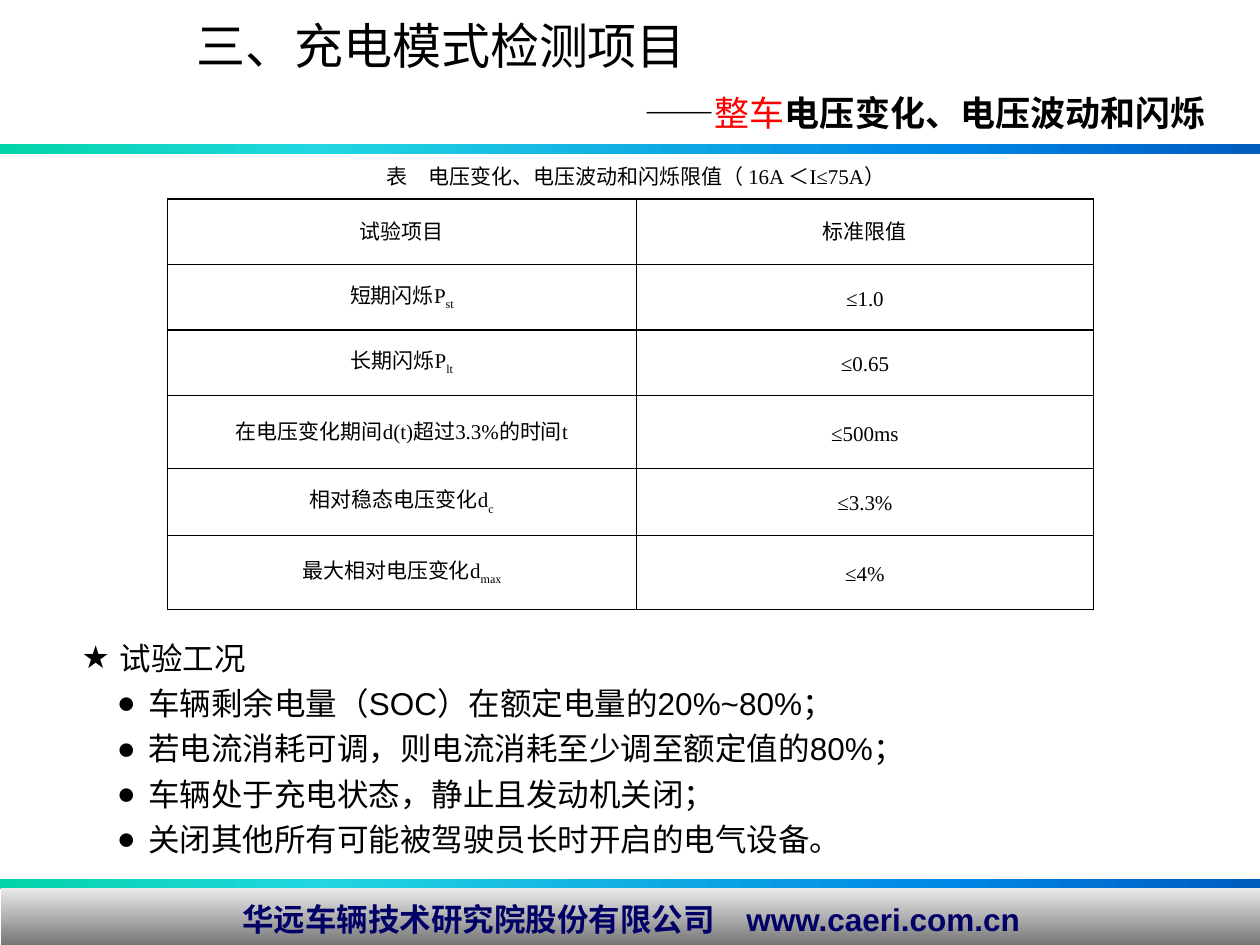
from lxml import etree
from pptx import Presentation
from pptx.dml.color import RGBColor
from pptx.enum.shapes import MSO_SHAPE
from pptx.enum.text import MSO_ANCHOR, MSO_AUTO_SIZE, PP_ALIGN
from pptx.oxml.ns import qn
from pptx.util import Inches, Pt

RECTANGLE = MSO_SHAPE.RECTANGLE
MIDDLE = MSO_ANCHOR.MIDDLE
LEFT, CENTER, RIGHT = PP_ALIGN.LEFT, PP_ALIGN.CENTER, PP_ALIGN.RIGHT

COLORS = {"black": "000000", "red": "FF0000", "navy": "000066"}
BAR_STOPS = [(0, "03D4A8"), (25, "21D6E0"), (75, "0087E6"), (100, "005CBF")]
FOOTER_STOPS = [(0, "EAEAEA"), (100, "6C6C6C")]
SANS, SERIF, HEADING = "Arial", "Times New Roman", "Calibri"

TITLE = "三、充电模式检测项目"
# text, font, color, bold
SUBTITLE = [
    ("——", HEADING, "black", False),
    ("整车", HEADING, "red", False),
    ("电压变化、电压波动和闪烁", SERIF, "black", True),
]
CAPTION = [
    ("表　电压变化、电压波动和闪烁限值（ ", SANS),
    ("16A ＜I≤75A", SERIF),
    ("）", SANS),
]
# item, subscript, limit
LIMITS = [
    ("试验项目", "", "标准限值"),
    ("短期闪烁P", "st", "≤1.0"),
    ("长期闪烁P", "lt", "≤0.65"),
    ("在电压变化期间d(t)超过3.3%的时间t", "", "≤500ms"),
    ("相对稳态电压变化d", "c", "≤3.3%"),
    ("最大相对电压变化d", "max", "≤4%"),
]
COLUMN_WIDTHS = [3.72, 3.63]
ROW_HEIGHTS = [0.52, 0.52, 0.52, 0.58, 0.53, 0.59]
# bullet, left margin, hanging width, text
CONDITIONS = [
    ("★", 0.3, 0.3, "试验工况"),
    ("●", 0.53, 0.25, "车辆剩余电量（SOC）在额定电量的20%~80%；"),
    ("●", 0.53, 0.25, "若电流消耗可调，则电流消耗至少调至额定值的80%；"),
    ("●", 0.53, 0.25, "车辆处于充电状态，静止且发动机关闭；"),
    ("●", 0.53, 0.25, "关闭其他所有可能被驾驶员长时开启的电气设备。"),
]
FOOTER = "华远车辆技术研究院股份有限公司　www.caeri.com.cn"


def set_font(font, name, size, color="black", bold=False):
    font.name = name
    font.size = Pt(size)
    font.bold = bold
    font.color.rgb = RGBColor.from_string(COLORS[color])


def add_run(paragraph, text):
    run = paragraph.add_run()
    run.text = text
    return run


def add_gradient_bar(slide, box, stops, angle):
    shape = slide.shapes.add_shape(RECTANGLE, *map(Inches, box))
    shape.shadow.inherit = False
    shape.line.fill.background()
    shape.fill.gradient()
    shape.fill.gradient_angle = angle
    stop_list = next(shape._element.iter(qn("a:gsLst")))
    for stop in list(stop_list):
        stop_list.remove(stop)
    for position, color in stops:
        stop = etree.SubElement(stop_list, qn("a:gs"), pos=str(position * 1000))
        etree.SubElement(stop, qn("a:srgbClr"), val=color)
    return shape


def add_text_frame(slide, box):
    frame = slide.shapes.add_textbox(*map(Inches, box)).text_frame
    frame.word_wrap = True
    return frame


def set_bullet(paragraph, character, margin, hanging):
    properties = paragraph._p.get_or_add_pPr()
    properties.set("marL", str(Inches(margin)))
    properties.set("indent", str(-Inches(hanging)))
    etree.SubElement(properties, qn("a:buFont"), typeface=SANS)
    etree.SubElement(properties, qn("a:buChar"), char=character)


def set_borders(cell):
    properties = cell._tc.get_or_add_tcPr()
    for index, side in enumerate(("a:lnL", "a:lnR", "a:lnT", "a:lnB")):
        line = etree.Element(qn(side), w=str(Pt(1)))
        fill = etree.SubElement(line, qn("a:solidFill"))
        etree.SubElement(fill, qn("a:srgbClr"), val=COLORS["black"])
        properties.insert(index, line)


def fill_cell(cell, text, subscript=""):
    cell.fill.background()
    set_borders(cell)
    cell.vertical_anchor = MIDDLE
    cell.margin_left = cell.margin_right = Inches(0.07)
    cell.margin_top = cell.margin_bottom = 0
    paragraph = cell.text_frame.paragraphs[0]
    paragraph.alignment = CENTER
    paragraph.line_spacing = Pt(15.6)
    set_font(paragraph.font, SERIF, 12)
    add_run(paragraph, text)
    if subscript:
        run = add_run(paragraph, subscript)
        run._r.get_or_add_rPr().set("baseline", "-25000")


def add_title(slide):
    title = slide.shapes.title
    title.left, title.top, title.width, title.height = map(
        Inches, (1.46, 0.08, 8.21, 1.02))
    frame = title.text_frame
    frame.auto_size = MSO_AUTO_SIZE.NONE
    frame.vertical_anchor = MIDDLE
    heading, subtitle = frame.paragraphs[0], frame.add_paragraph()
    for paragraph, alignment in ((heading, LEFT), (subtitle, RIGHT)):
        paragraph.alignment = alignment
        paragraph.line_spacing = Pt(34)
    set_font(heading.font, HEADING, 28)
    add_run(heading, TITLE)
    for text, name, color, bold in SUBTITLE:
        set_font(add_run(subtitle, text).font, name, 20, color, bold)


def add_limits_table(slide):
    table = slide.shapes.add_table(
        len(LIMITS), len(COLUMN_WIDTHS), Inches(1.33), Inches(1.58),
        Inches(sum(COLUMN_WIDTHS)), Inches(sum(ROW_HEIGHTS))).table
    for column, width in zip(table.columns, COLUMN_WIDTHS):
        column.width = Inches(width)
    for index, (item, subscript, limit) in enumerate(LIMITS):
        table.rows[index].height = Inches(ROW_HEIGHTS[index])
        fill_cell(table.cell(index, 0), item, subscript)
        fill_cell(table.cell(index, 1), limit)


def add_conditions(slide):
    frame = add_text_frame(slide, (0.55, 4.96, 8.91, 1.92))
    for index, (bullet, margin, hanging, text) in enumerate(CONDITIONS):
        paragraph = frame.add_paragraph() if index else frame.paragraphs[0]
        paragraph.line_spacing = 1.2
        set_bullet(paragraph, bullet, margin, hanging)
        set_font(paragraph.font, SANS, 18)
        add_run(paragraph, text)


def main():
    presentation = Presentation()
    presentation.slide_width, presentation.slide_height = Inches(10), Inches(7.5)
    slide = presentation.slides.add_slide(presentation.slide_layouts[5])

    for top in (6.98, 1.14):
        add_gradient_bar(slide, (0, top, 10, 0.08), BAR_STOPS, 0)
    footer = add_gradient_bar(slide, (0.01, 7.05, 10, 0.49), FOOTER_STOPS, 270)
    footer.text_frame.vertical_anchor = MIDDLE
    paragraph = footer.text_frame.paragraphs[0]
    paragraph.alignment = CENTER
    set_font(paragraph.font, SANS, 18, "navy", True)
    add_run(paragraph, FOOTER)

    add_title(slide)
    caption = add_text_frame(slide, (2.97, 1.25, 5, 0.3)).paragraphs[0]
    for text, name in CAPTION:
        set_font(add_run(caption, text).font, name, 12)
    add_limits_table(slide)
    add_conditions(slide)
    presentation.save("out.pptx")


if __name__ == "__main__":
    main()
